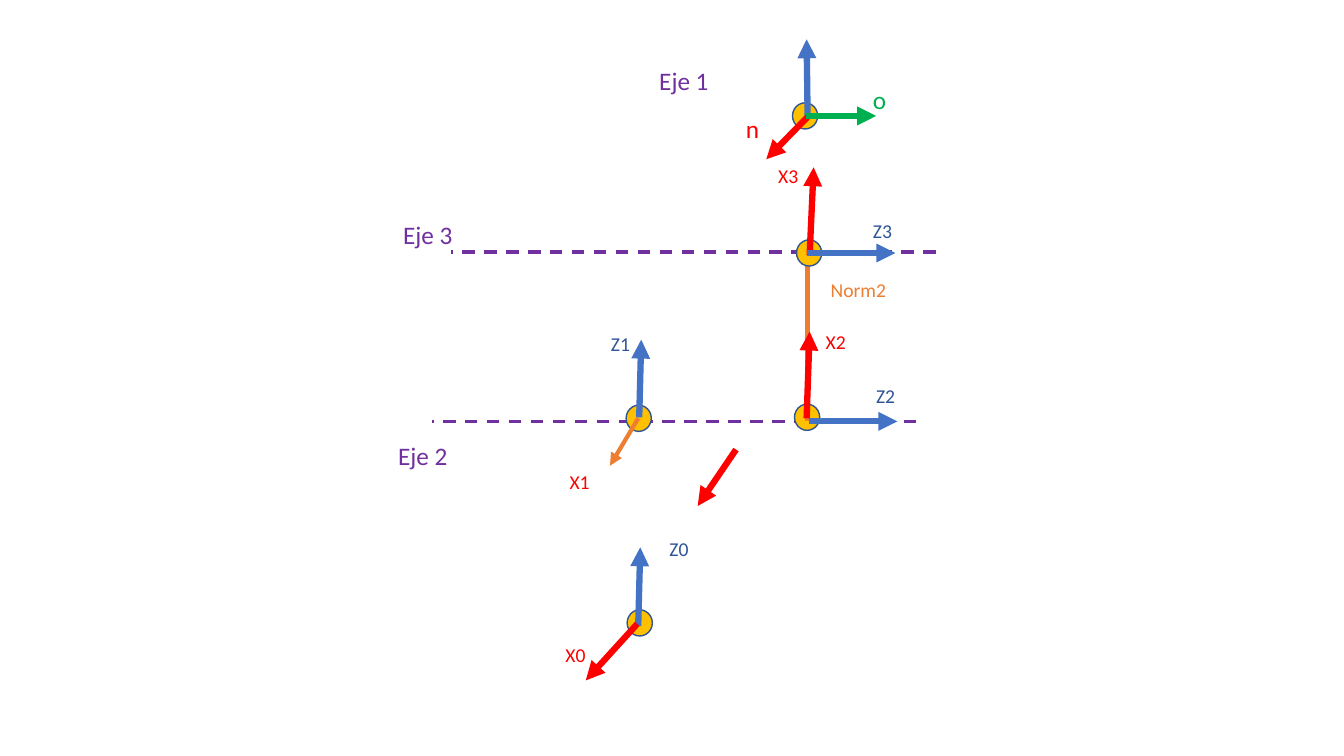
from pptx import Presentation
from pptx.dml.color import RGBColor
from pptx.enum.dml import MSO_LINE
from pptx.enum.shapes import MSO_CONNECTOR, MSO_SHAPE
from pptx.enum.text import MSO_AUTO_SIZE
from pptx.oxml.ns import qn
from pptx.util import Inches, Pt
from lxml.etree import SubElement

THEME = {
    "font": "Calibri", "large": 18, "small": 14,
    "purple": "7030A0", "orange": "ED7D31", "red": "FF0000", "green": "00B050",
    "blue": "4472C4", "navy": "2F5597", "joint": "FFC000", "rim": "325491",
    "thin": 2.25, "medium": 3, "thick": 4.5, "outline": 1,
}

deck = Presentation()
deck.slide_width, deck.slide_height = Inches(13.33), Inches(7.5)
page = deck.slides.add_slide(deck.slide_layouts[6])

# Grid of square cells
COLUMN = deck.slide_width / 13.33
ROW = deck.slide_height / 7.5


def add_line(start, end, color, weight="thick", dashed=False):
    ends = [round(value * unit) for point in (start, end)
            for value, unit in zip(point, (COLUMN, ROW))]
    line = page.shapes.add_connector(MSO_CONNECTOR.STRAIGHT, *ends)
    line.line.color.rgb = RGBColor.from_string(THEME[color])
    line.line.width = Pt(THEME[weight])
    if dashed:
        line.line.dash_style = MSO_LINE.DASH
    else:
        SubElement(line.line._get_or_add_ln(), qn("a:tailEnd"), type="triangle")
    SubElement(line._element.spPr, qn("a:effectLst"))


def add_label(text, left, top, color, width=0.48, size="small", wrap=True):
    height = 0.4 if size == "large" else 0.34
    box = page.shapes.add_textbox(round(left * COLUMN), round(top * ROW),
                                  round(width * COLUMN), round(height * ROW))
    box.text_frame.word_wrap = wrap
    box.text_frame.auto_size = MSO_AUTO_SIZE.SHAPE_TO_FIT_TEXT
    span = box.text_frame.paragraphs[0].add_run()
    span.text = text
    span.font.name = THEME["font"]
    span.font.size = Pt(THEME[size])
    span.font.color.rgb = RGBColor.from_string(THEME[color])


# Dashed joint axes and their names
for left, level in ((4.28, 4.18), (4.47, 2.5)):
    add_line((left + 4.81, level), (left, level), "purple", "thin", dashed=True)
for text, left, top in (("Eje 1", 6.44, 0.6), ("Eje 2", 3.85, 4.32), ("Eje 3", 3.9, 2.13)):
    add_label(text, left, top, "purple", width=0.7, size="large", wrap=False)

# Coordinate frames: joint corner, arrows, labels
frames = [
    {"joint": (6.21, 4.02),
     "arrows": [((6.33, 4.15), (6.05, 4.62), "orange", "medium"),
                ((6.34, 4.14), (6.36, 3.37), "blue"),
                ((7.3, 4.46), (6.92, 5.02), "red")],
     "labels": [("Z1", 5.96, 3.24, "navy"), ("X1", 5.55, 4.61, "red")]},
    {"joint": (7.88, 4.01),
     "arrows": [((8.01, 4.18), (8.01, 2.5), "orange", "medium"),
                ((8.02, 4.18), (8.9, 4.18), "blue"),
                ((8, 4.15), (8.03, 3.29), "red")],
     "labels": [("Norm2", 8.14, 2.71, "orange", 0.95),
                ("Z2", 8.59, 3.76, "navy"), ("X2", 8.09, 3.22, "red")]},
    {"joint": (6.22, 6.05),
     "arrows": [((6.33, 6.21), (6.35, 5.43), "blue"),
                ((6.32, 6.19), (5.81, 6.75), "red")],
     "labels": [("Z0", 6.54, 5.28, "navy"), ("X0", 5.51, 6.33, "red")]},
    {"joint": (7.9, 2.38),
     "arrows": [((8.03, 2.53), (8.07, 1.66), "red"),
                ((8, 2.51), (8.88, 2.51), "blue")],
     "labels": [("Z3", 8.56, 2.12, "navy"), ("X3", 7.62, 1.58, "red")]},
    {"joint": (7.86, 1.02),
     "arrows": [((8.01, 1.15), (8, 0.39), "blue"),
                ((8.01, 1.16), (7.6, 1.58), "red"),
                ((7.99, 1.15), (8.69, 1.15), "green")],
     "labels": [("n", 7.3, 1.08, "red", 0.3, "large"),
                ("o", 8.56, 0.79, "green", 0.48, "large")]},
]
for frame in frames:
    left, top = frame["joint"]
    joint = page.shapes.add_shape(MSO_SHAPE.OVAL, round(left * COLUMN), round(top * ROW),
                                  round(0.25 * COLUMN), round(0.26 * ROW))
    joint.shadow.inherit = False
    joint.fill.solid()
    joint.fill.fore_color.rgb = RGBColor.from_string(THEME["joint"])
    joint.line.color.rgb = RGBColor.from_string(THEME["rim"])
    joint.line.width = Pt(THEME["outline"])
    for arrow in frame["arrows"]:
        add_line(*arrow)
    for label in frame["labels"]:
        add_label(*label)

deck.save("out.pptx")
